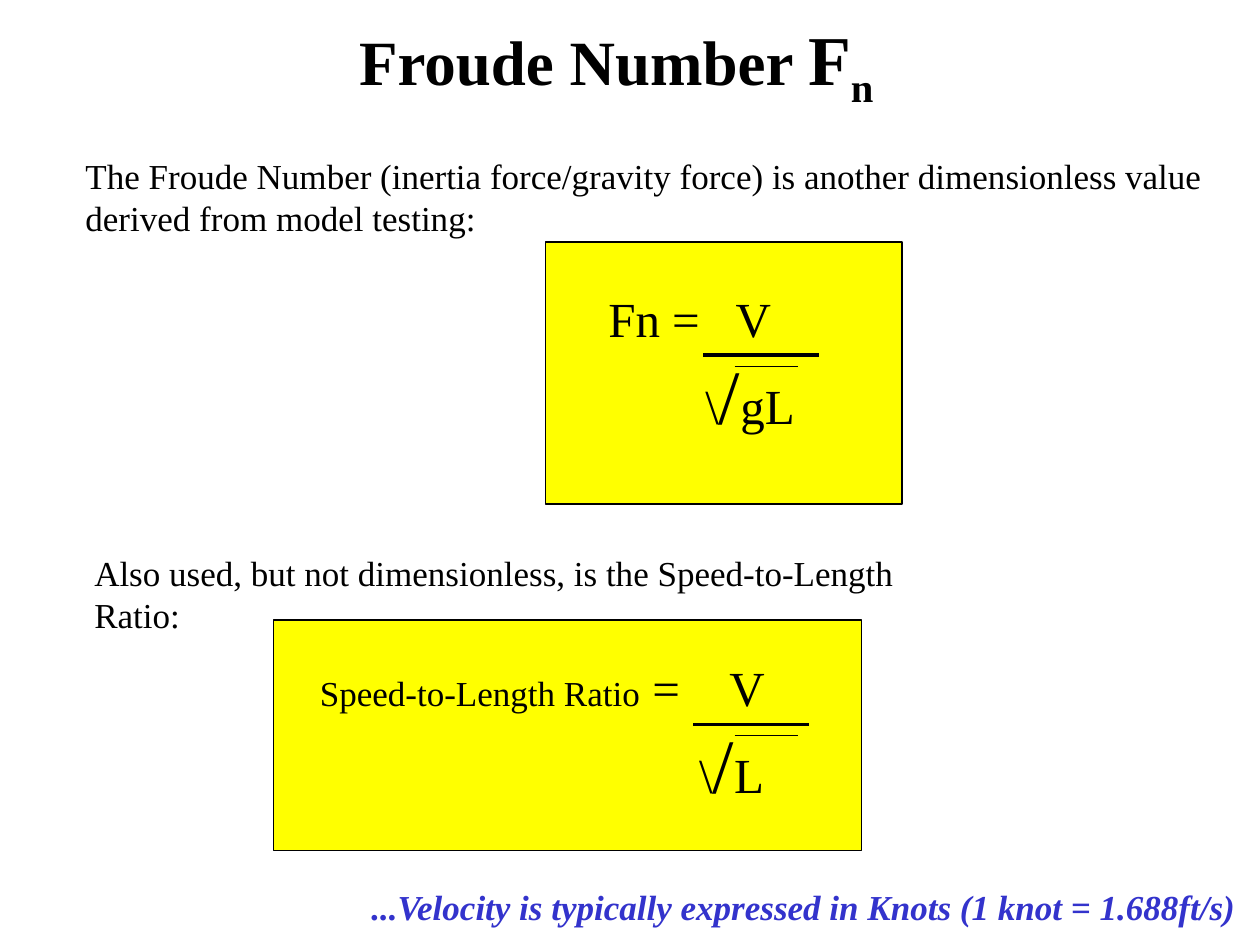
from lxml.etree import SubElement
from pptx import Presentation
from pptx.dml.color import RGBColor
from pptx.enum.shapes import MSO_CONNECTOR as Link, MSO_SHAPE as Shape
from pptx.enum.text import MSO_ANCHOR as Anchor, MSO_AUTO_SIZE as Fit, PP_ALIGN as Align
from pptx.oxml.ns import qn
from pptx.util import Inches, Pt

BLACK = RGBColor(0, 0, 0)
YELLOW = RGBColor(0xFF, 0xFF, 0)
BLUE = RGBColor(0x33, 0x33, 0xCC)
FACE = "Times New Roman"


def place(shape, box):
    shape.left, shape.top, shape.width, shape.height = map(Inches, box)


def style(para, size, color=BLACK, bold=False, italic=False):
    font = para.font
    font.name, font.size = FACE, Pt(size)
    font.bold, font.italic = bold, italic
    font.color.rgb = color


def fill(para, parts):
    """Add (text, size) runs; a size of None keeps the paragraph's."""
    for text, size in parts:
        run = para.add_run()
        run.text = text
        if size:
            run.font.size = Pt(size)


def add_title(slide, box):
    title = slide.shapes.title
    place(title, box)
    frame = title.text_frame
    frame.word_wrap = False
    frame.auto_size = Fit.NONE
    frame.vertical_anchor = Anchor.TOP
    para = frame.paragraphs[0]
    para.alignment = Align.LEFT
    style(para, 36, bold=True)
    fill(para, [("Froude Number ", None), ("F", 40), ("n", 40)])
    para.runs[-1].font._element.set("baseline", "-25000")


def add_text(slide, box, lines, wrap=True, **look):
    frame = slide.shapes.add_textbox(*map(Inches, box)).text_frame
    frame.word_wrap = wrap
    for i, line in enumerate(lines):
        para = frame.add_paragraph() if i else frame.paragraphs[0]
        para.text = line
        style(para, 20, **look)


def add_bar(slide, x, y, width, weight):
    bar = slide.shapes.add_connector(
        Link.STRAIGHT, Inches(x), Inches(y), Inches(x + width), Inches(y))
    bar.line.color.rgb = BLACK
    bar.line.width = Pt(weight)
    SubElement(bar._element.spPr, qn("a:effectLst"))


def add_ratio(slide, box, inset, name, under, col, bar, root):
    """Draw name = V / root of under; col, bar and root are offsets in the box."""
    left, top, width, height = box
    panel = slide.shapes.add_shape(Shape.RECTANGLE, *map(Inches, box))
    panel.shadow.inherit = False
    panel.fill.solid()
    panel.fill.fore_color.rgb = YELLOW
    panel.line.color.rgb = BLACK
    panel.line.width = Pt(0.75)

    dx, dy = inset
    area = (left + dx, top + dy, width - dx, 1.3)
    frame = slide.shapes.add_textbox(*map(Inches, area)).text_frame
    frame.word_wrap = True
    start = col - dx - 0.1
    upper, lower = frame.paragraphs[0], frame.add_paragraph()
    tabs = SubElement(upper._p.get_or_add_pPr(), qn("a:tabLst"))
    SubElement(tabs, qn("a:tab"), pos=str(Inches(start + 0.24)), algn="l")
    lower._p.get_or_add_pPr().set("marL", str(Inches(start)))
    for para in (upper, lower):
        style(para, 28)
    fill(upper, [name, (" =\tV", None)])
    fill(lower, [("\\", None), ("/", 44), (under, None)])

    add_bar(slide, left + root, top + dy + 0.67, 0.5, 0.75)
    add_bar(slide, left + bar, top + dy + 0.58, 0.92, 2.25)


def main():
    deck = Presentation()
    deck.slide_width, deck.slide_height = Inches(10), Inches(7.5)
    slide = deck.slides.add_slide(deck.slide_layouts[5])
    add_title(slide, (2.75, 0.07, 4.33, 0.77))
    add_text(slide, (0.58, 1.18, 9.1, 0.77), [
        "The Froude Number (inertia force/gravity force) is another dimensionless value",
        "derived from model testing:"], wrap=False)
    add_ratio(slide, (4.33, 1.92, 2.83, 2.08), (0.4, 0.32), ("Fn", None), "gL",
              col=1.27, bar=1.25, root=1.5)
    add_text(slide, (0.65, 4.33, 7.27, 0.43), [
        "Also used, but not dimensionless, is the Speed-to-Length Ratio:"])
    add_ratio(slide, (2.17, 4.92, 4.67, 1.83), (0.27, 0.25),
              ("Speed-to-Length Ratio", 20), "L", col=3.38, bar=3.33, root=3.66)
    add_text(slide, (2.85, 6.98, 7.07, 0.43), [
        "...Velocity is typically expressed in Knots (1 knot = 1.688ft/s)"],
        wrap=False, color=BLUE, bold=True, italic=True)
    deck.save("out.pptx")


if __name__ == "__main__":
    main()
